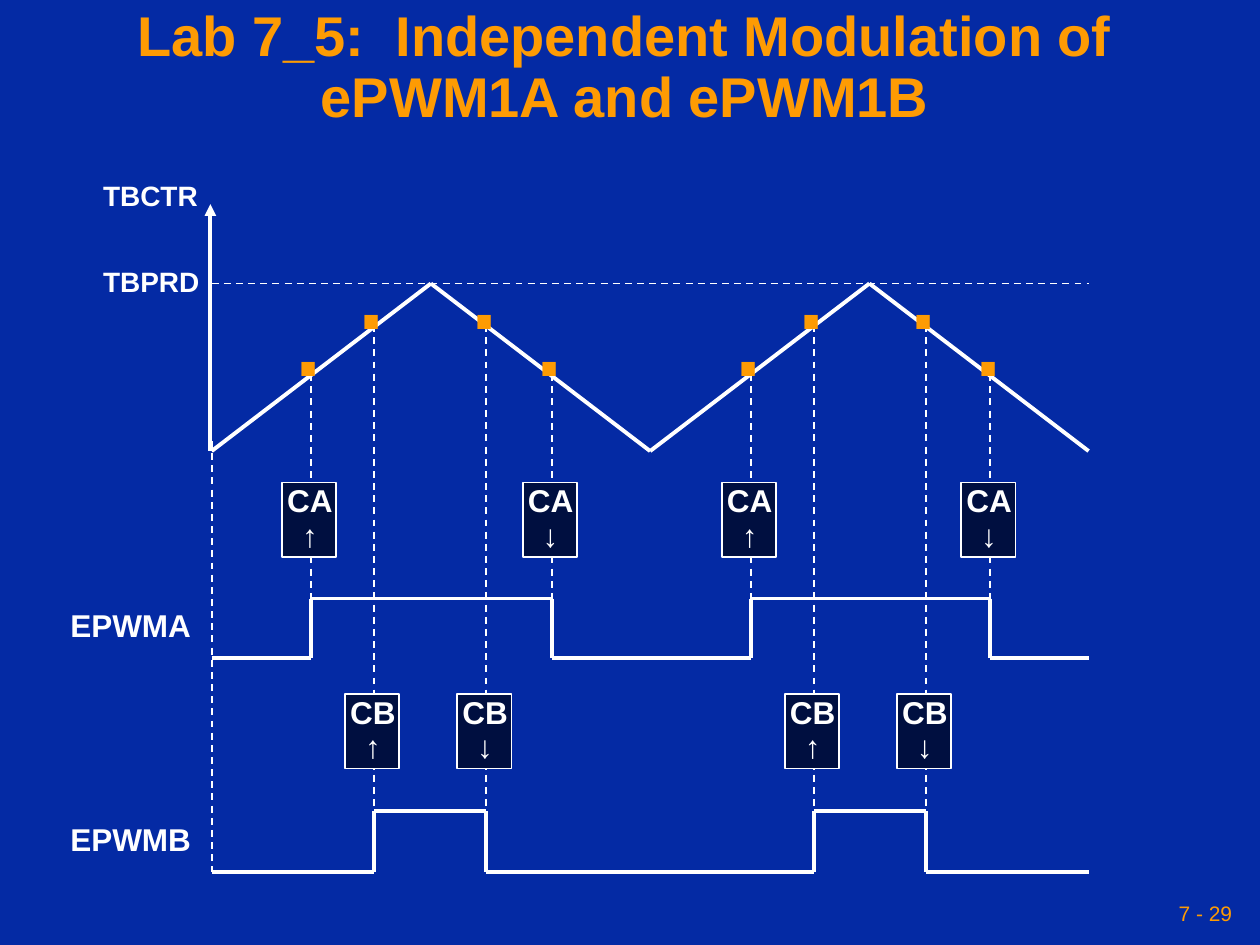
from dataclasses import dataclass
from itertools import pairwise

from lxml import etree
from pptx import Presentation, util as u
from pptx.dml.color import RGBColor
from pptx.enum import dml, shapes, text
from pptx.oxml.ns import qn

BLUE = RGBColor(0x04, 0x2A, 0xA4)
NAVY = RGBColor(0x00, 0x0F, 0x40)
AMBER = RGBColor(0xFE, 0x9B, 0x03)
WHITE = RGBColor(0xFF, 0xFF, 0xFF)
COLS, ROWS = 100, 75  # square grid over the slide
CELL = u.Inches(0.1)
AXIS, END = 16.8, 86.4
PEAK, FLOOR = 22.5, 35.8
LEFT, MID, RIGHT = text.PP_ALIGN.LEFT, text.PP_ALIGN.CENTER, text.PP_ALIGN.RIGHT


@dataclass(frozen=True)
class Wave:
    """One PWM output: its compare event, edge columns and rows."""
    name: str
    event: str
    edges: tuple[float, ...]
    dot: float
    start: float
    box: float
    high: float
    low: float
    label: float


@dataclass(frozen=True)
class Label:
    words: str
    col: float
    row: float
    wide: float
    high: float
    size: float


WAVES = (
    Wave("EPWMA", "CA", (24.7, 43.8, 59.6, 78.6), 23.6, 29.7, 38.3, 47.5, 52.2, 48.2),
    Wave("EPWMB", "CB", (29.7, 38.6, 64.6, 73.5), 19.9, 25.8, 55.1, 64.4, 69.2, 65.2),
)
AXES = (
    Label("TBCTR", 7.2, 14.2, 9.8, 3.2, 16),
    Label("TBPRD", 7.2, 21, 9.8, 3.2, 16),
)


def grid(*cells: float) -> list[u.Emu]:
    return [u.Emu(round(n * CELL)) for n in cells]


def line(slide, a: tuple, b: tuple, dash: bool = False, head: bool = False) -> None:
    link = slide.shapes.add_connector(shapes.MSO_CONNECTOR.STRAIGHT, *grid(*a, *b))
    link.line.color.rgb = WHITE
    link.line.width = u.Pt(1 if dash else 2.25)
    if dash:
        link.line.dash_style = dml.MSO_LINE.DASH
    if head:
        etree.SubElement(link.line._get_or_add_ln(), qn("a:headEnd"), type="triangle")
    etree.SubElement(link._element.spPr, qn("a:effectLst"))


def path(slide, points: list[tuple]) -> None:
    for a, b in pairwise(points):
        line(slide, a, b)


def add_run(para, words: str, size: float, color: RGBColor, bold: bool = True) -> None:
    run = para.add_run()
    run.text = words
    run.font.name = "Arial"
    run.font.size = u.Pt(size)
    run.font.bold = bold
    run.font.color.rgb = color


def pad(frame, side: float) -> None:
    frame.margin_left = frame.margin_right = u.Inches(side)
    frame.margin_top = frame.margin_bottom = u.Inches(0.05)


def write(slide, label: Label, color: RGBColor = WHITE, align=LEFT) -> None:
    """Add an unwrapped text box with one paragraph per line of words."""
    box = slide.shapes.add_textbox(*grid(label.col, label.row, label.wide, label.high))
    frame = box.text_frame
    frame.word_wrap = False
    frame.auto_size = text.MSO_AUTO_SIZE.SHAPE_TO_FIT_TEXT
    pad(frame, 0.1)
    for i, words in enumerate(label.words.split("\n")):
        para = frame.add_paragraph() if i else frame.paragraphs[0]
        para.alignment = align
        para.line_spacing = 0.8
        if i:
            para.space_before = u.Pt(2.2)
        add_run(para, words, label.size, color)


def event(slide, wave: Wave, edge: float, arrow: str) -> None:
    left = edge - 2.3
    card = slide.shapes.add_shape(
        shapes.MSO_SHAPE.RECTANGLE, *grid(left, wave.box, 4.3, 5.9))
    card.shadow.inherit = False
    card.fill.solid()
    card.fill.fore_color.rgb = NAVY
    card.line.color.rgb = WHITE
    card.line.width = u.Pt(1)
    tag = Label(f"{wave.event}\n{arrow}", left - 0.6, wave.box, 5.6, 6.1, 18)
    write(slide, tag, align=MID)


def pulses(slide, wave: Wave) -> None:
    points, level = [(AXIS, wave.low)], wave.low
    for edge in wave.edges:
        points.append((edge, level))
        level = wave.high if level == wave.low else wave.low
        points.append((edge, level))
    path(slide, points + [(END, level)])


def head(slide) -> None:
    title = slide.shapes.title
    title.left, title.top, title.width, title.height = grid(0, 1.3, 99.2, 8.3)
    frame = title.text_frame
    frame.word_wrap = True
    frame.auto_size = text.MSO_AUTO_SIZE.NONE
    frame.vertical_anchor = text.MSO_ANCHOR.MIDDLE
    pad(frame, 0.05)
    para = frame.paragraphs[0]
    para.alignment = MID
    para.line_spacing = 0.9
    add_run(para, "Lab 7_5:  Independent Modulation of", 32, AMBER)
    para.add_line_break()
    add_run(para, "ePWM1A and ePWM1B", 32, AMBER)


def foot(slide) -> None:
    box = slide.shapes.add_textbox(*grid(68.3, 70.8, 30, 3.3))
    frame = box.text_frame
    frame.word_wrap = True
    frame.vertical_anchor = text.MSO_ANCHOR.MIDDLE
    pad(frame, 0.05)
    frame.paragraphs[0].alignment = RIGHT
    add_run(frame.paragraphs[0], "7 - 29", 12, AMBER, bold=False)


def main() -> None:
    deck = Presentation()
    deck.slide_width, deck.slide_height = grid(COLS, ROWS)
    slide = deck.slides.add_slide(deck.slide_layouts[5])
    slide.background.fill.solid()
    slide.background.fill.fore_color.rgb = BLUE
    head(slide)
    foot(slide)

    for wave in WAVES:
        for edge in wave.edges:
            line(slide, (edge, wave.start), (edge, wave.high), dash=True)
    line(slide, (AXIS, 35), (AXIS, WAVES[-1].low), dash=True)
    line(slide, (AXIS, PEAK), (END, PEAK), dash=True)
    line(slide, (16.7, 16.2), (16.7, FLOOR), head=True)
    for label in AXES:
        write(slide, label)

    step = (END - AXIS) / 4
    path(slide, [(AXIS + i * step, PEAK if i % 2 else FLOOR) for i in range(5)])

    for wave in WAVES:
        for i, edge in enumerate(wave.edges):
            write(slide, Label(".", edge - 2.2, wave.dot, 3.9, 8.2, 54), AMBER)
            event(slide, wave, edge, "↓" if i % 2 else "↑")
        write(slide, Label(wave.name, 4.6, wave.label, 11.6, 3.4, 18))
        pulses(slide, wave)

    deck.save("out.pptx")


if __name__ == "__main__":
    main()
